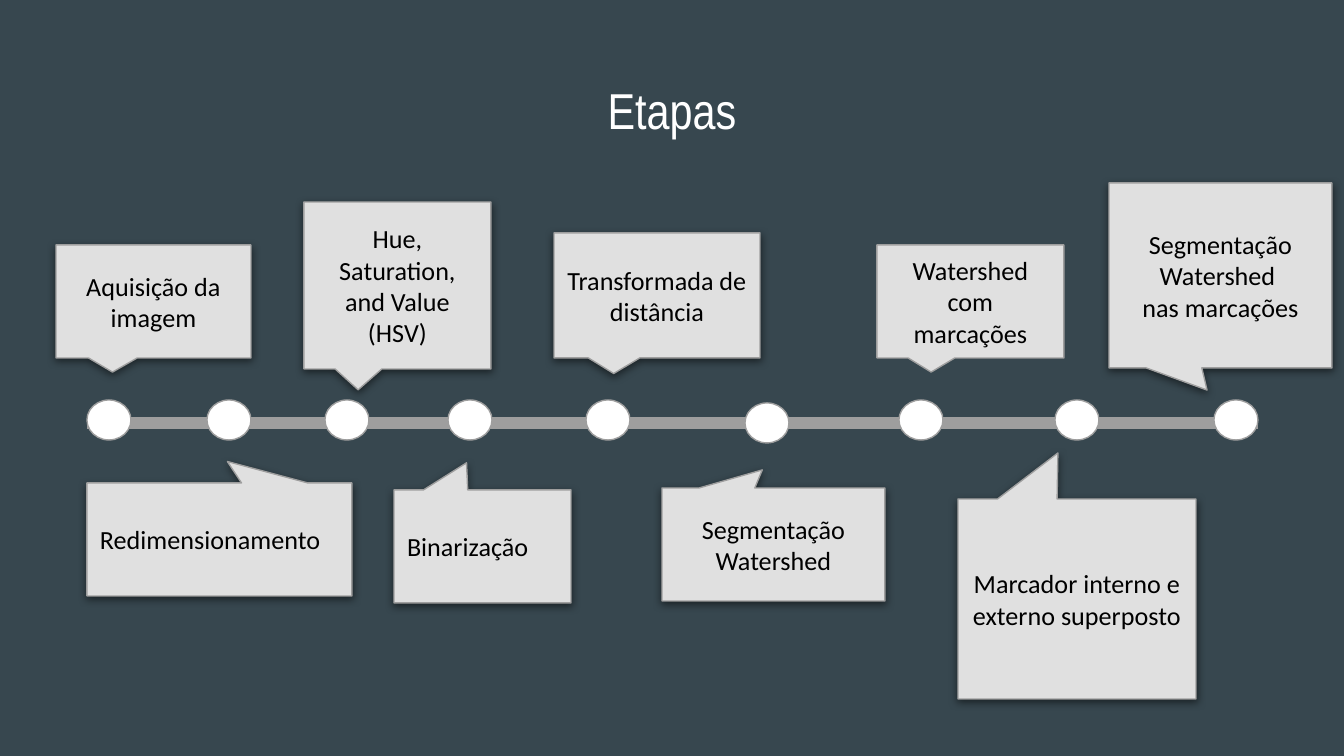
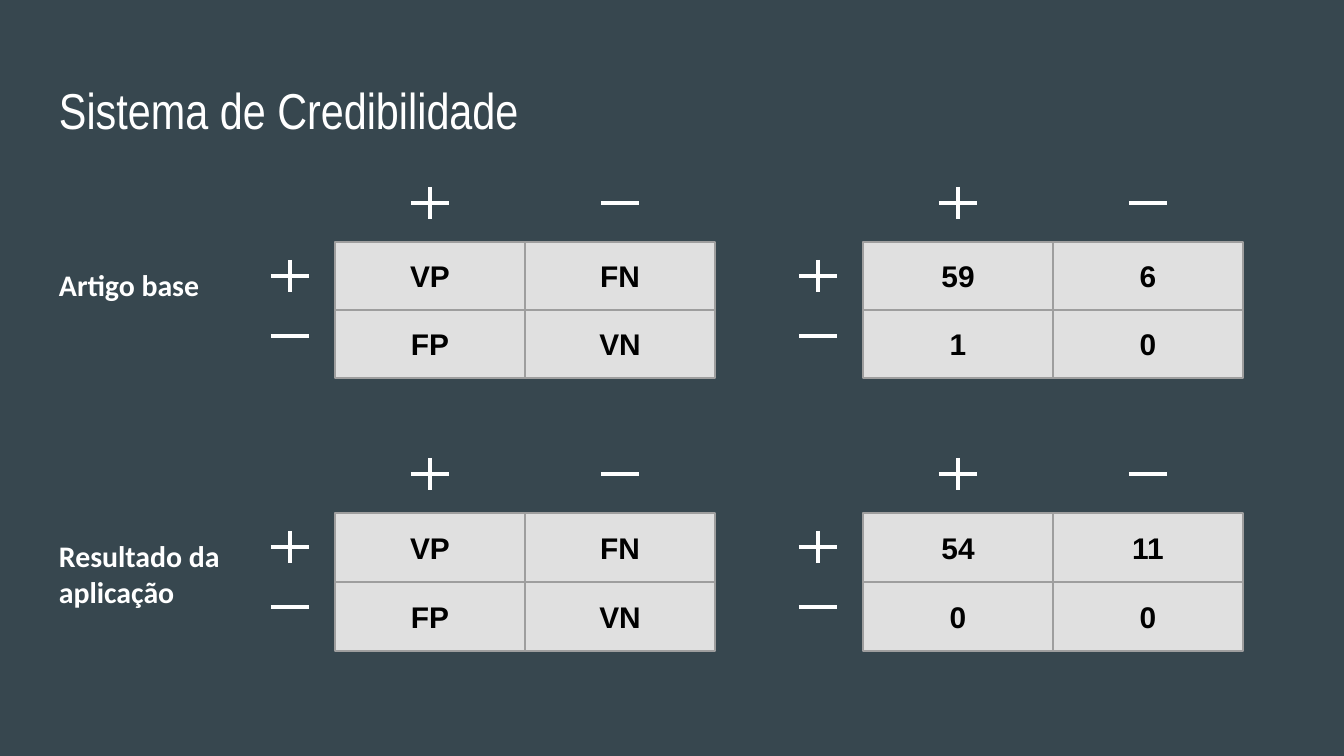
from dataclasses import dataclass

from lxml.etree import SubElement
from pptx import Presentation
from pptx.dml.color import RGBColor
from pptx.enum.shapes import MSO_CONNECTOR, MSO_SHAPE as SHAPE
from pptx.enum.text import MSO_ANCHOR as ANCHOR, PP_ALIGN as ALIGN
from pptx.oxml.ns import qn
from pptx.shapes.autoshape import Shape
from pptx.slide import Slide
from pptx.util import Emu, Pt

EMU_PER_PX = 914400 / 134.4
SLIDE_W, SLIDE_H = 1344, 756
INSET = 13

SLATE, WHITE, BLACK = "37474F", "FFFFFF", "000000"
PANEL, GREY = "E0E0E0", "9E9E9E"
HEAD_FONT, BODY_FONT, CELL_FONT = "Arial Narrow", "Calibri", "Arial"

# Timeline
AXIS_Y, AXIS_LEFT, AXIS_RIGHT = 423, 87, 1258
DOT_W, DOT_H, DOT_Y = 44, 40, 400

# Confusion matrices
CELL_W = 190
MATRIX_LEFTS = (335, 863)
SIGN_HALF_W, SIGN_HALF_H = 19, 16
COLUMN_SIGN_RISE = 39
ROW_SIGN_GAP = 45
ROW_SIGN_DROPS = (34, 94)


@dataclass(frozen=True)
class Box:
    """A rectangle in pixels."""
    x: int
    y: int
    w: int
    h: int


@dataclass(frozen=True)
class Style:
    """Look of a block of text."""
    font: str
    size: int
    color: str
    bold: bool = False
    align: ALIGN = ALIGN.LEFT
    anchor: ANCHOR = ANCHOR.TOP


@dataclass(frozen=True)
class Callout:
    """A timeline step; the tip is relative to the centre of the box."""
    text: str
    box: Box
    tip: tuple[float, float] = (-0.21, 0.625)
    align: ALIGN = ALIGN.CENTER
    shadow: bool = True


@dataclass(frozen=True)
class MatrixRow:
    """A labelled band holding the key matrix and the value matrix."""
    label: str
    label_box: Box
    top: int
    cell_h: int
    values: tuple[tuple[str, str], tuple[str, str]]


TITLE_BOX = Box(46, 66, 1252, 85)
LABEL = Style(BODY_FONT, 16, WHITE, bold=True)
CELL = Style(CELL_FONT, 16, BLACK, bold=True, align=ALIGN.CENTER, anchor=ANCHOR.MIDDLE)
KEY = (("VP", "FN"), ("FP", "VN"))

DOTS = [(x, DOT_Y) for x in (87, 207, 325, 448, 586, 899, 1055, 1214)] + [(745, DOT_Y + 3)]

CALLOUTS = (
    Callout("Aquisição da imagem", Box(56, 245, 195, 113)),
    Callout("Hue, Saturation, and Value (HSV)", Box(304, 202, 187, 167)),
    Callout("Transformada de distância", Box(554, 233, 206, 125)),
    Callout("Watershed com marcações", Box(877, 245, 187, 113), shadow=False),
    Callout("Segmentação\nWatershed \nnas marcações", Box(1109, 183, 223, 185), (-0.06, 0.62)),
    Callout("Redimensionamento", Box(87, 483, 265, 113), (0.03, -0.69), ALIGN.LEFT),
    Callout("Binarização", Box(394, 490, 177, 113), (-0.09, -0.74), ALIGN.LEFT),
    Callout("Segmentação Watershed", Box(662, 488, 223, 113), (-0.05, -0.66)),
    Callout("Marcador interno e externo superposto", Box(958, 499, 238, 200), (-0.08, -0.73)),
)

MATRIX_ROWS = (
    MatrixRow("Artigo base", Box(46, 254, 190, 63), 242, 68, (("59", "6"), ("1", "0"))),
    MatrixRow("Resultado da aplicação", Box(46, 525, 190, 99), 513, 69, (("54", "11"), ("0", "0"))),
)


def px(n: float) -> Emu:
    """Turn pixels into EMU."""
    return Emu(round(n * EMU_PER_PX))


def rgb(color: str) -> RGBColor:
    """Turn a hex string into a colour."""
    return RGBColor.from_string(color)


def place(box: Box) -> tuple[Emu, Emu, Emu, Emu]:
    """Give a box as left, top, width and height in EMU."""
    return px(box.x), px(box.y), px(box.w), px(box.h)


def write(s: Shape, text: str, style: Style) -> None:
    """Put styled text in a shape, one paragraph a line."""
    tf = s.text_frame
    tf.word_wrap = True
    tf.vertical_anchor = style.anchor
    tf.margin_left = tf.margin_right = tf.margin_top = tf.margin_bottom = px(INSET)
    tf.text = text
    for p in tf.paragraphs:
        p.alignment = style.align
        p.font.name = style.font
        p.font.size = Pt(style.size)
        p.font.bold = style.bold
        p.font.color.rgb = rgb(style.color)


def add_text(slide: Slide, box: Box, text: str, style: Style) -> None:
    """Add a text box."""
    write(slide.shapes.add_textbox(*place(box)), text, style)


def add_title(slide: Slide, text: str, align: ALIGN = ALIGN.LEFT) -> None:
    """Add the slide title."""
    add_text(slide, TITLE_BOX, text, Style(HEAD_FONT, 27, WHITE, align=align))


def add_shape(slide: Slide, kind: SHAPE, box: Box, fill: str) -> Shape:
    """Add a filled preset shape with a thin grey outline and no shadow."""
    s = slide.shapes.add_shape(kind, *place(box))
    s.shadow.inherit = False
    s.fill.solid()
    s.fill.fore_color.rgb = rgb(fill)
    s.line.color.rgb = rgb(GREY)
    s.line.width = Pt(0.75)
    return s


def add_shadow(s: Shape) -> None:
    """Give a shape a soft shadow straight below it."""
    effects = s._element.spPr.find(qn("a:effectLst"))
    outer = SubElement(effects, qn("a:outerShdw"), blurRad=str(Pt(4.5)), dist=str(Pt(1.5)),
                       dir="5400000", algn="bl", rotWithShape="0")
    color = SubElement(outer, qn("a:srgbClr"), val=BLACK)
    SubElement(color, qn("a:alpha"), val="50000")


def add_line(slide: Slide, x1: int, y1: int, x2: int, y2: int, color: str, width: float) -> None:
    """Add a straight line without a shadow."""
    line = slide.shapes.add_connector(MSO_CONNECTOR.STRAIGHT, px(x1), px(y1), px(x2), px(y2))
    line.line.color.rgb = rgb(color)
    line.line.width = Pt(width)
    SubElement(line._element.spPr, qn("a:effectLst"))


def add_callout(slide: Slide, step: Callout) -> None:
    """Add the callout of one step."""
    s = add_shape(slide, SHAPE.ROUNDED_RECTANGULAR_CALLOUT, step.box, PANEL)
    for i, value in enumerate((*step.tip, 0)):
        s.adjustments[i] = value
    if step.shadow:
        add_shadow(s)
    write(s, step.text, Style(BODY_FONT, 14, BLACK, align=step.align, anchor=ANCHOR.MIDDLE))


def add_sign(slide: Slide, x: int, y: int, plus: bool) -> None:
    """Draw a plus or a minus centred on a point."""
    add_line(slide, x - SIGN_HALF_W, y, x + SIGN_HALF_W, y, WHITE, 2.25)
    if plus:
        add_line(slide, x, y - SIGN_HALF_H, x, y + SIGN_HALF_H, WHITE, 2.25)


def add_matrix(slide: Slide, left: int, row: MatrixRow, values: tuple) -> None:
    """Draw a two by two matrix with signs above and to the left."""
    for i, cells in enumerate(values):
        for j, text in enumerate(cells):
            box = Box(left + j * CELL_W, row.top + i * row.cell_h, CELL_W, row.cell_h)
            write(add_shape(slide, SHAPE.RECTANGLE, box, PANEL), text, CELL)
    for i, drop in enumerate(ROW_SIGN_DROPS):
        plus = i == 0
        add_sign(slide, left + i * CELL_W + CELL_W // 2, row.top - COLUMN_SIGN_RISE, plus)
        add_sign(slide, left - ROW_SIGN_GAP, row.top + drop, plus)


def build_steps(slide: Slide) -> None:
    """Build the timeline of steps."""
    add_title(slide, "Etapas", ALIGN.CENTER)
    add_line(slide, AXIS_LEFT, AXIS_Y, AXIS_RIGHT, AXIS_Y, GREY, 6)
    for x, y in DOTS:
        add_shape(slide, SHAPE.OVAL, Box(x, y, DOT_W, DOT_H), WHITE)
    for step in CALLOUTS:
        add_callout(slide, step)


def build_credibility(slide: Slide) -> None:
    """Build the comparison of confusion matrices."""
    add_title(slide, "Sistema de Credibilidade")
    for row in MATRIX_ROWS:
        add_text(slide, row.label_box, row.label, LABEL)
        for left, values in zip(MATRIX_LEFTS, (KEY, row.values)):
            add_matrix(slide, left, row, values)


def main() -> None:
    """Build and save the presentation."""
    prs = Presentation()
    prs.slide_width, prs.slide_height = px(SLIDE_W), px(SLIDE_H)
    background = prs.slide_master.background.fill
    background.solid()
    background.fore_color.rgb = rgb(SLATE)
    blank = prs.slide_layouts[6]
    for build in (build_steps, build_credibility):
        build(prs.slides.add_slide(blank))
    prs.save("out.pptx")


main()
